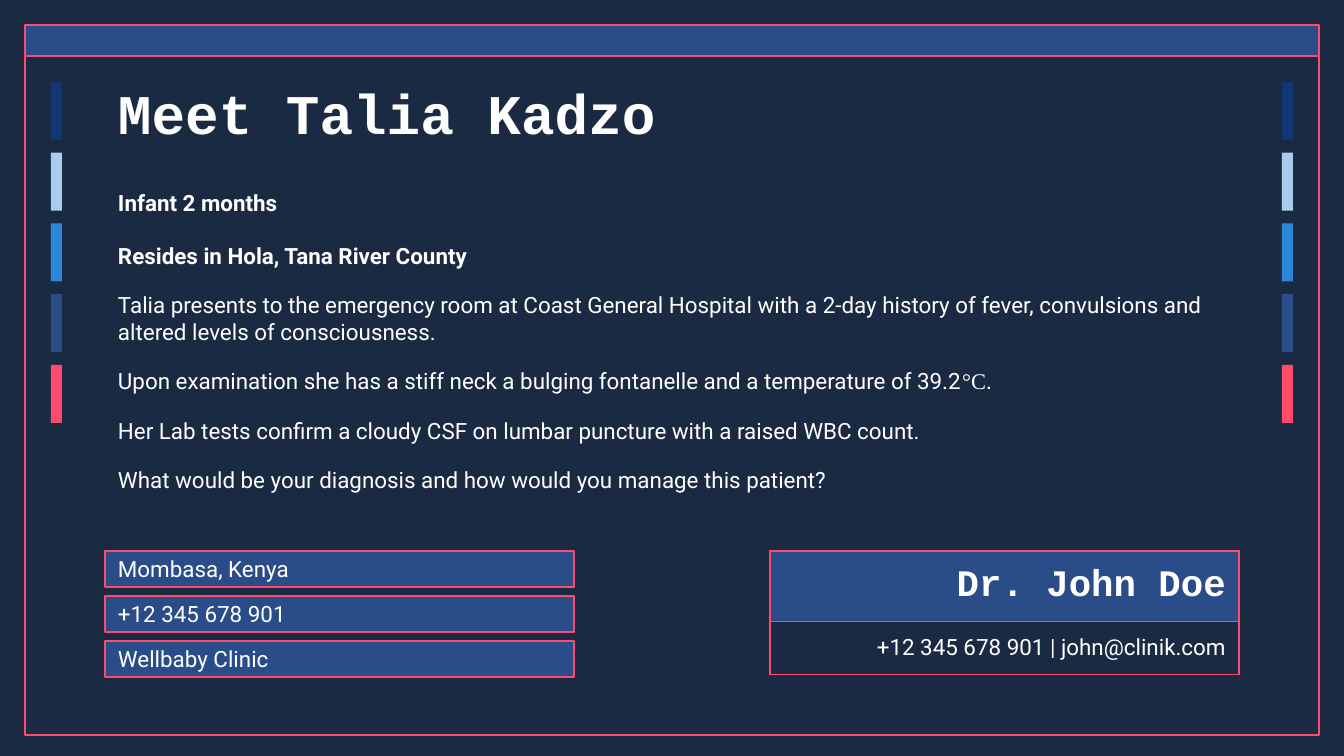
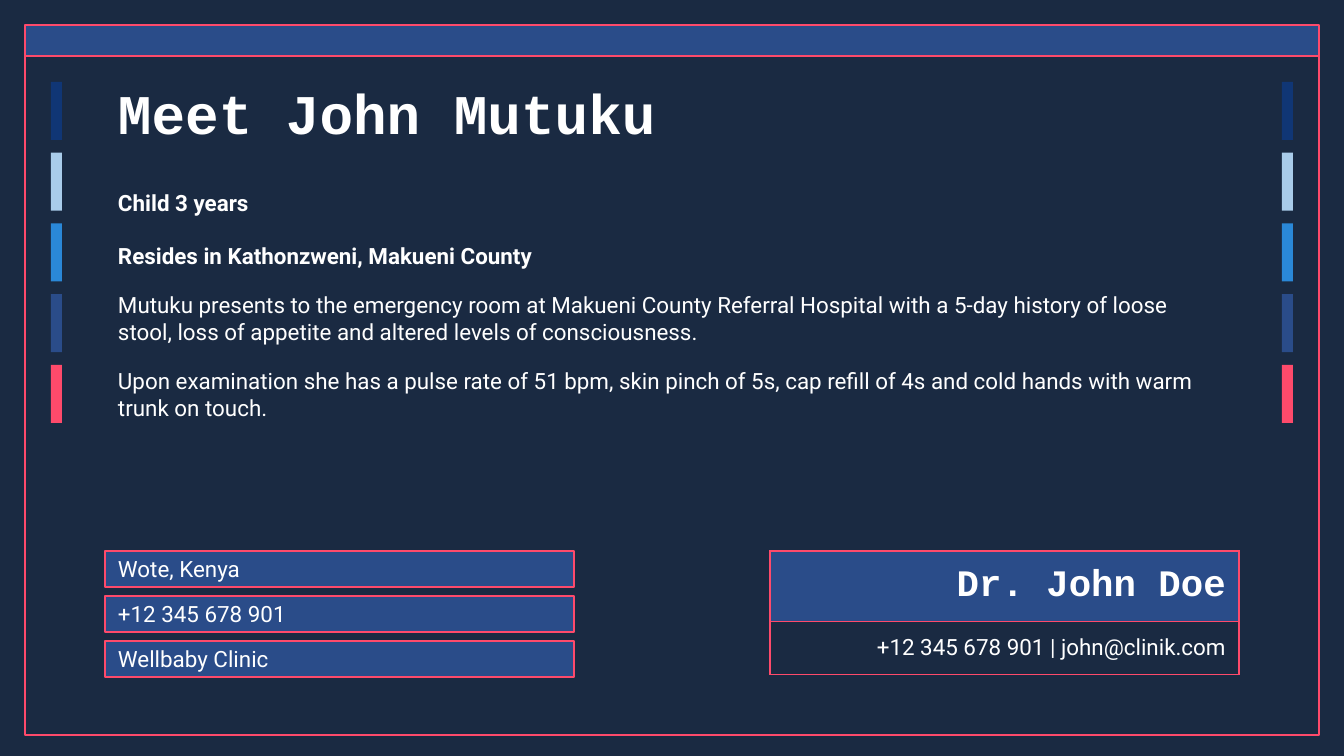
"""Build two patient case slides that share a frame, a title style and contact panels."""
from lxml import etree
from pptx import Presentation
from pptx.dml.color import RGBColor
from pptx.enum.shapes import MSO_SHAPE as Shape
from pptx.enum.text import MSO_ANCHOR as Anchor, PP_ALIGN as Align
from pptx.oxml.ns import qn
from pptx.util import Emu, Pt

CASES = [
    {
        "title": "Meet Talia Kadzo",
        "facts": ["Infant 2 months", "Resides in Hola, Tana River County"],
        "story": [
            "Talia presents to the emergency room at Coast General Hospital with a 2-day "
            "history of fever, convulsions and altered levels of consciousness.",
            "Upon examination she has a stiff neck a bulging fontanelle and a temperature "
            "of 39.2°C.",
            "Her Lab tests confirm a cloudy CSF on lumbar puncture with a raised WBC count.",
            "What would be your diagnosis and how would you manage this patient?",
        ],
        "place": "Mombasa, Kenya",
    },
    {
        "title": "Meet John Mutuku",
        "facts": ["Child 3 years", "Resides in Kathonzweni, Makueni County"],
        "story": [
            "Mutuku presents to the emergency room at Makueni County Referral Hospital with "
            "a 5-day history of loose stool, loss of appetite and altered levels of "
            "consciousness.",
            "Upon examination she has a pulse rate of 51 bpm, skin pinch of 5s, cap refill "
            "of 4s and cold hands with warm trunk on touch.",
        ],
        "place": "Wote, Kenya",
    },
]
PHONE = "+12 345 678 901"
CLINIC = "Wellbaby Clinic"
DOCTOR = "Dr. John Doe"
DOCTOR_CONTACT = f"{PHONE} | john@clinik.com"

NIGHT = RGBColor(0x1A, 0x2A, 0x42)
NAVY = RGBColor(0x10, 0x36, 0x75)
BLUE = RGBColor(0x2A, 0x4C, 0x89)
BRIGHT = RGBColor(0x2A, 0x88, 0xD8)
PALE = RGBColor(0xA9, 0xCC, 0xEA)
CORAL = RGBColor(0xFE, 0x4A, 0x6B)
WHITE = RGBColor(0xFF, 0xFF, 0xFF)
BAR_COLOURS = [NAVY, PALE, BRIGHT, BLUE, CORAL]

HEAD_FONT, BODY_FONT, UNIT_FONT = "Courier New", "Roboto", "Times New Roman"
UNIT = "°C"
LINE = Pt(0.75)

WIDTH, HEIGHT = 1344, 756
MARGIN = 25
INSET = 13
LEFT, CONTENT_WIDTH = 105, 1134
PANEL_TOP, PANEL_WIDTH = 551, 469
FIELD_HEIGHT, FIELD_PITCH = 36, 45
CARD_ROWS = [69, 53]
BAR_LEFT, BAR_TOP, BAR_WIDTH, BAR_HEIGHT = 51, 82, 11, 58
BAR_PITCH = 70.75


def px(length):
    return Emu(round(length * 914400 / 134.4))


def add_text(frame, text, font=BODY_FONT, size=12, bold=False, align=Align.LEFT, before=0):
    started = bool(frame.paragraphs[0].runs)
    para = frame.add_paragraph() if started else frame.paragraphs[0]
    para.alignment = align
    para.space_before = Pt(before if started else 0)
    for part in filter(None, text.partition(UNIT)):
        span = para.add_run()
        span.text = part
        span.font.name = UNIT_FONT if part == UNIT else font
        span.font.size = Pt(size)
        span.font.bold = bold
        span.font.color.rgb = WHITE


def prepare(frame, anchor):
    frame.word_wrap = True
    frame.vertical_anchor = anchor
    frame.margin_left = frame.margin_right = px(INSET)
    frame.margin_top = frame.margin_bottom = px(INSET)
    return frame


def add_box(slide, left, top, width, height):
    box = slide.shapes.add_textbox(px(left), px(top), px(width), px(height))
    return prepare(box.text_frame, Anchor.TOP)


def add_block(slide, left, top, width, height, fill, outlined=True):
    block = slide.shapes.add_shape(
        Shape.RECTANGLE, px(left), px(top), px(width), px(height))
    block.shadow.inherit = False
    block.fill.solid()
    block.fill.fore_color.rgb = fill
    if outlined:
        block.line.color.rgb = CORAL
        block.line.width = LINE
    else:
        block.line.fill.background()
    return block


def add_frame(slide):
    slide.background.fill.solid()
    slide.background.fill.fore_color.rgb = NIGHT
    inner = WIDTH - 2 * MARGIN
    add_block(slide, MARGIN, 51, inner, 684, NIGHT)
    add_block(slide, MARGIN, MARGIN, inner, 31, BLUE)
    for left in (BAR_LEFT, WIDTH - BAR_LEFT - BAR_WIDTH):
        for index, colour in enumerate(BAR_COLOURS):
            top = BAR_TOP + index * BAR_PITCH
            add_block(slide, left, top, BAR_WIDTH, BAR_HEIGHT, colour, outlined=False)


def add_fields(slide, fields):
    for index, text in enumerate(fields):
        top = PANEL_TOP + index * FIELD_PITCH
        field = add_block(slide, LEFT, top, PANEL_WIDTH, FIELD_HEIGHT, BLUE)
        add_text(prepare(field.text_frame, Anchor.MIDDLE), text)


def style_cell(cell, fill):
    properties = cell._tc.get_or_add_tcPr()
    for side in ("lnL", "lnR", "lnT", "lnB"):
        border = etree.SubElement(properties, qn(f"a:{side}"), w=str(LINE))
        solid = etree.SubElement(border, qn("a:solidFill"))
        etree.SubElement(solid, qn("a:srgbClr"), val=str(CORAL))
    cell.fill.solid()
    cell.fill.fore_color.rgb = fill
    cell.vertical_anchor = Anchor.MIDDLE
    cell.margin_left = cell.margin_right = px(INSET)
    cell.margin_top = cell.margin_bottom = px(INSET)


def add_card(slide):
    left = LEFT + CONTENT_WIDTH - PANEL_WIDTH
    table = slide.shapes.add_table(
        2, 1, px(left), px(PANEL_TOP), px(PANEL_WIDTH), px(sum(CARD_ROWS))).table
    for row, height in zip(table.rows, CARD_ROWS):
        row.height = px(height)
    name, contact = table.cell(0, 0), table.cell(1, 0)
    style_cell(name, BLUE)
    style_cell(contact, NIGHT)
    name.margin_left = 0
    add_text(name.text_frame, DOCTOR, font=HEAD_FONT, size=20, bold=True, align=Align.RIGHT)
    add_text(contact.text_frame, DOCTOR_CONTACT, align=Align.RIGHT)


def add_case(deck, case):
    slide = deck.slides.add_slide(deck.slide_layouts[6])
    add_frame(slide)
    title = add_box(slide, LEFT, 66, CONTENT_WIDTH, 85)
    add_text(title, case["title"], font=HEAD_FONT, size=30, bold=True)
    body = add_box(slide, LEFT, 176, CONTENT_WIDTH, 332)
    for fact in case["facts"]:
        add_text(body, fact, bold=True, before=14)
    for passage in case["story"]:
        add_text(body, passage, before=12)
    add_fields(slide, [case["place"], PHONE, CLINIC])
    add_card(slide)


def main():
    deck = Presentation()
    deck.slide_width, deck.slide_height = px(WIDTH), px(HEIGHT)
    for case in CASES:
        add_case(deck, case)
    deck.save("out.pptx")


if __name__ == "__main__":
    main()
